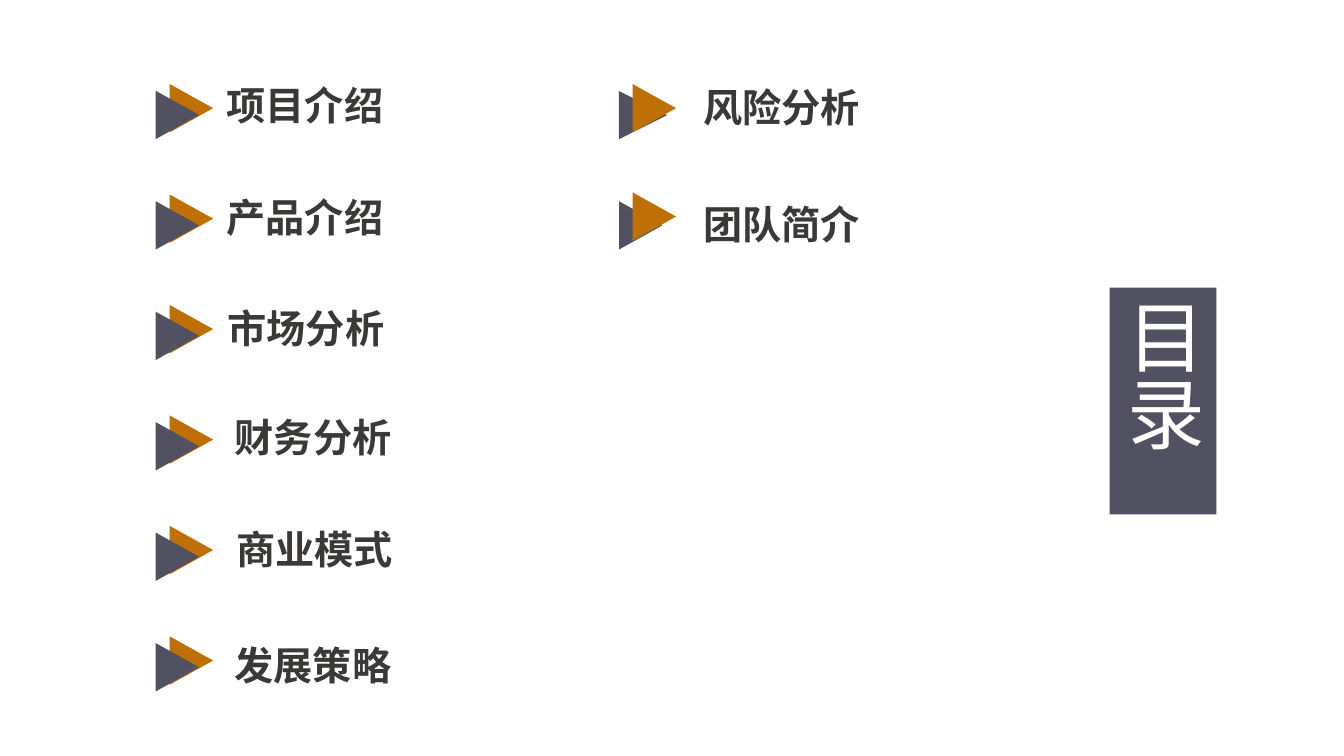
import pptx
import pptx.dml.color
import pptx.enum.shapes
import pptx.enum.text
import pptx.util
from dataclasses import dataclass

Pt = pptx.util.Pt
Color = pptx.dml.color.RGBColor.from_string
Anchor = pptx.enum.text.MSO_ANCHOR
Shapes = pptx.enum.shapes.MSO_SHAPE


@dataclass(frozen=True)
class Theme:
    slate: str = "515161"
    amber: str = "BE6F05"
    ink: str = "3B3838"
    white: str = "FFFFFF"
    entry_font: str = "Calibri"
    title_font: str = "Arial"
    entry_size: float = 28
    title_size: float = 55.5


class ContentsSlide:
    def __init__(self, deck, theme):
        self.theme = theme
        self.page = deck.slides.add_slide(deck.slide_layouts[6])

    def shape(self, kind, left, top, width, height, color, rotation=0):
        box = self.page.shapes.add_shape(
            kind, Pt(left), Pt(top), Pt(width), Pt(height))
        box.shadow.inherit = False
        box.fill.solid()
        box.fill.fore_color.rgb = Color(color)
        box.line.fill.background()
        box.rotation = rotation
        return box

    def add_text(self, box, text, color, anchor, font_format):
        frame = box.text_frame
        frame.word_wrap = True
        frame.vertical_anchor = anchor
        para = frame.paragraphs[0]
        para.alignment = pptx.enum.text.PP_ALIGN.LEFT
        span = para.add_run()
        span.text = text
        span.font.color.rgb = Color(color)
        for name, value in font_format.items():
            setattr(span.font, name, value)

    def triangle(self, left, top, color, width=34.5, height=31):
        self.shape(Shapes.ISOSCELES_TRIANGLE, left, top, width, height,
                   color, rotation=90)

    def entry(self, text, left, top, width):
        box = self.page.shapes.add_textbox(
            Pt(left), Pt(top), Pt(width), Pt(37.5))
        self.add_text(box, text, self.theme.ink, Anchor.BOTTOM, {
            "name": self.theme.entry_font,
            "size": Pt(self.theme.entry_size),
            "bold": True,
        })

    def title(self, text, left, top, width, height):
        box = self.shape(Shapes.RECTANGLE, left, top, width, height,
                         self.theme.slate)
        self.add_text(box, text, self.theme.white, Anchor.MIDDLE, {
            "name": self.theme.title_font,
            "size": Pt(self.theme.title_size),
        })
        # Vertical East Asian text, read from top to bottom
        box.text_frame._txBody.bodyPr.set("vert", "eaVert")


def main():
    deck = pptx.Presentation()
    deck.slide_width, deck.slide_height = Pt(960), Pt(540)
    theme = Theme()
    contents = ContentsSlide(deck, theme)

    # Title panel
    contents.title("目录", 792.7, 205.5, 76.2, 162)

    # Left column: evenly spaced markers, slate in front of amber
    first_row, row_step = 61.8, 78.9
    left_entries = [
        ("项目介绍", 154.8, 57.6, 173.5),
        ("产品介绍", 154.8, 137.5, 158.4),
        ("市场分析", 155.5, 216.7, 148.3),
        ("财务分析", 160.6, 295.2, 152.6),
        ("商业模式", 161.6, 374.6, 136),
        ("发展策略", 160.6, 458, 144),
    ]
    for row, entry in enumerate(left_entries):
        top = first_row + row * row_step
        contents.entry(*entry)
        contents.triangle(119.5, top, theme.amber)
        contents.triangle(109.5, top + 4.8, theme.slate)

    # Right column: amber in front of slate
    right_entries = [
        (("风险分析", 495.4, 59, 167.8), (442, 65, 34.5, 34.5), 61.8),
        (("团队简介", 495.4, 142.6, 221.8), (440.4, 145.5, 34.5, 31), 139.2),
    ]
    for entry, (left, top, width, height), amber_top in right_entries:
        contents.triangle(left, top, theme.slate, width, height)
        contents.triangle(450.2, amber_top, theme.amber)
        contents.entry(*entry)

    deck.save("out.pptx")


if __name__ == "__main__":
    main()
